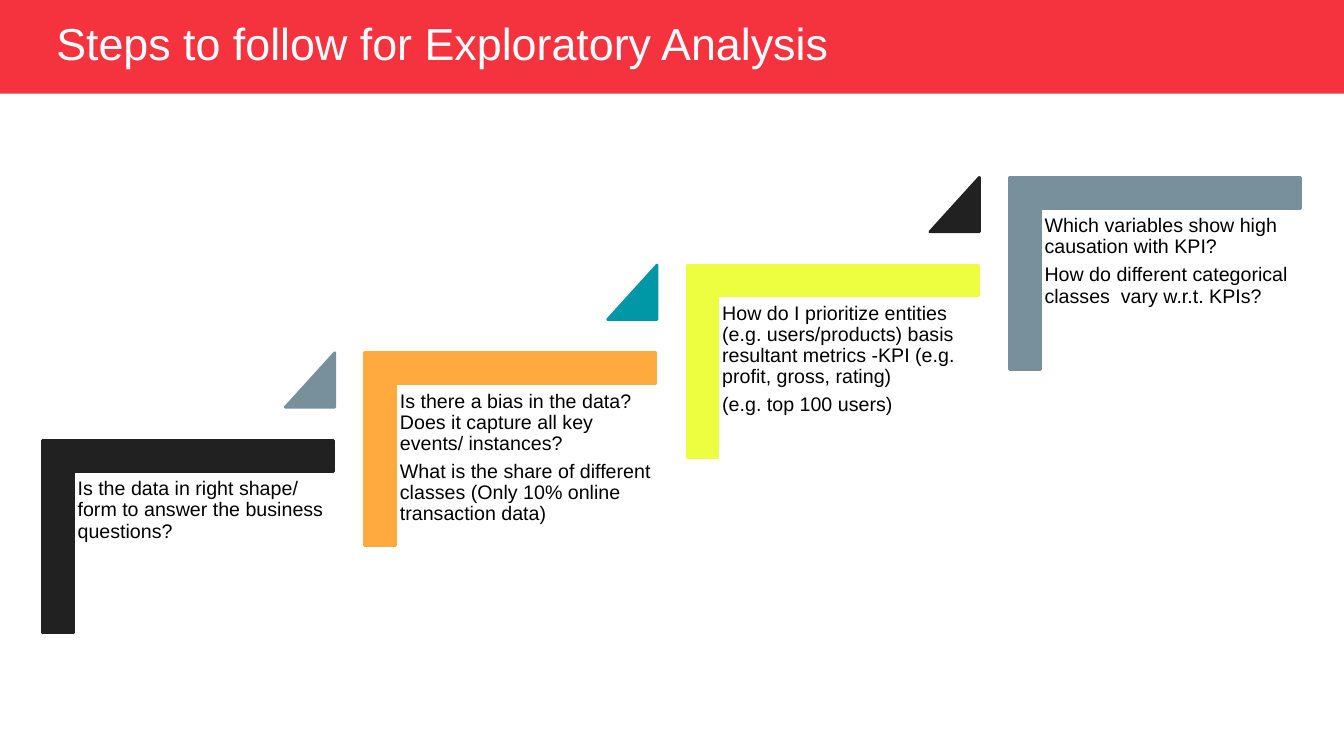
from dataclasses import dataclass

from pptx import Presentation
from pptx.dml.color import RGBColor
from pptx.enum import shapes, text
from pptx.util import Inches, Pt


@dataclass(frozen=True)
class Theme:
    """Colours, font and type sizes of the slide."""
    font: str = "Arial"
    title_size: float = 32
    body_size: float = 14
    banner: str = "F5333F"
    white: str = "FFFFFF"
    body: str = "000000"
    dark: str = "212121"
    orange: str = "FFAA3F"
    yellow: str = "EDFD40"
    slate: str = "78909C"
    teal: str = "0097A7"


THEME = Theme()
SHAPE = shapes.MSO_SHAPE
STEPS = [
    (THEME.dark, THEME.slate,
     ["Is the data in right shape/ form to answer the business questions?"]),
    (THEME.orange, THEME.teal,
     ["Is there a bias in the data? Does it capture all key events/ instances?",
      "What is the share of different classes (Only 10% online transaction data)"]),
    (THEME.yellow, THEME.dark,
     ["How do I prioritize entities (e.g. users/products) basis resultant "
      "metrics -KPI (e.g. profit, gross, rating)",
      "(e.g. top 100 users)"]),
    (THEME.slate, None,
     ["Which variables show high causation with KPI?",
      "How do different categorical classes  vary w.r.t. KPIs?"]),
]


def add_solid(s, kind, x, y, w, h, color, line=True):
    """Add a preset shape in one colour, with or without a matching line."""
    sp = s.shapes.add_shape(kind, Inches(x), Inches(y), Inches(w), Inches(h))
    sp.shadow.inherit = False
    sp.fill.solid()
    sp.fill.fore_color.rgb = RGBColor.from_string(color)
    if line:
        sp.line.color.rgb = RGBColor.from_string(color)
        sp.line.width = Pt(2)
    else:
        sp.line.fill.background()
    return sp


def add_text(s, x, y, w, h, paragraphs, size, color, inset, anchor):
    """Add a wrapped text box with one run per paragraph."""
    tf = s.shapes.add_textbox(Inches(x), Inches(y), Inches(w), Inches(h)).text_frame
    tf.word_wrap = True
    tf.vertical_anchor = anchor
    tf.margin_left = tf.margin_right = Inches(inset[0])
    tf.margin_top = tf.margin_bottom = Inches(inset[1])
    for i, words in enumerate(paragraphs):
        p = tf.add_paragraph() if i else tf.paragraphs[0]
        p.line_spacing = 0.9
        p.space_before = Pt(4.9 if i else 0)
        r = p.add_run()
        r.text = words
        r.font.name = THEME.font
        r.font.size = Pt(size)
        r.font.color.rgb = RGBColor.from_string(color)


def add_banner(s, x, y, w, h, title):
    """Draw the title banner across the given box."""
    add_solid(s, SHAPE.RECTANGLE, x, y, w, h, THEME.banner, line=False)
    add_text(s, x + 0.46, y + 0.18, 9.78, 0.56, [title], THEME.title_size,
             THEME.white, (0.1, 0.05), text.MSO_ANCHOR.MIDDLE)


def add_step(s, x, y, w, h, color, marker, paragraphs):
    """Draw one stair with its text and, if any, the marker above it."""
    sp = add_solid(s, SHAPE.CORNER, x + (w - h) / 2, y + (h - w) / 2, h, w, color)
    sp.rotation = 90
    sp.adjustments[0] = sp.adjustments[1] = 0.161
    add_text(s, x + 0.29, y + 0.32, 2.61, 2.52, paragraphs, THEME.body_size,
             THEME.body, (0.06, 0.06), text.MSO_ANCHOR.TOP)
    if marker:
        sp = add_solid(s, SHAPE.ISOSCELES_TRIANGLE, x + w - 0.48, y - 0.87,
                       0.49, 0.54, marker)
        sp.adjustments[0] = 1


def add_staircase(s, x, y, w, h, steps):
    """Lay the steps out from lower left to upper right of the box."""
    step_w, step_h = 2.89, 1.91
    dx = (w - step_w) / (len(steps) - 1)
    dy = (h - step_h) / (len(steps) - 1)
    for i, step in enumerate(steps):
        add_step(s, x + i * dx, y + h - step_h - i * dy, step_w, step_h, *step)


def main():
    """Build and save the slide."""
    prs = Presentation()
    prs.slide_width, prs.slide_height = Inches(13.33), Inches(7.5)
    s = prs.slides.add_slide(prs.slide_layouts[6])
    add_banner(s, 0, 0, 13.33, 0.93, "Steps to follow for Exploratory Analysis")
    add_staircase(s, 0.42, 1.76, 12.48, 4.52, STEPS)
    prs.save("out.pptx")


if __name__ == "__main__":
    main()
